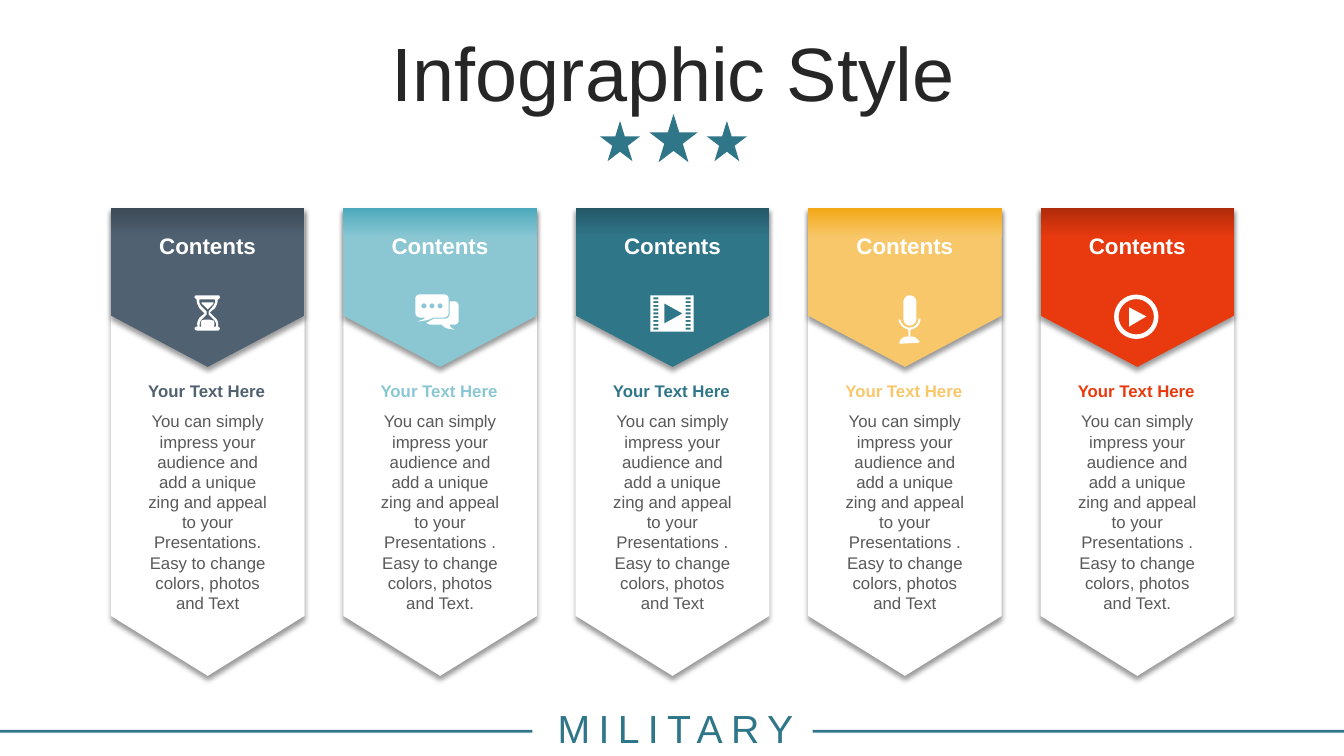
from dataclasses import dataclass

from lxml import etree
from pptx import Presentation
from pptx import util as u
from pptx.dml.color import RGBColor
from pptx.enum import shapes, text
from pptx.oxml import ns

FONT = "Arial"
COLORS = {"teal": "307689", "white": "FFFFFF", "title": "262626", "body": "595959"}
PITCH = 2.305
FIRST_CENTER = 2.06
CURVE_STEPS = 8


@dataclass(frozen=True)
class Banner:
    color: str
    edge: str
    place: str
    ending: str
    icon: str


@dataclass(frozen=True)
class Star:
    left: float
    top: float
    size: float


def circle(cx: float, cy: float, r: float) -> str:
    k = 0.5523 * r
    return (f"M {cx} {cy - r} C {cx + k} {cy - r} {cx + r} {cy - k} {cx + r} {cy} "
            f"{cx + r} {cy + k} {cx + k} {cy + r} {cx} {cy + r} "
            f"{cx - k} {cy + r} {cx - r} {cy + k} {cx - r} {cy} "
            f"{cx - r} {cy - k} {cx - k} {cy - r} {cx} {cy - r} ")


def box(x: float, y: float, w: float, h: float) -> str:
    return f"M {x} {y} L {x + w} {y} {x + w} {y + h} {x} {y + h} "


# Icon outlines use hundredths of an inch on the slide.
HOURGLASS = (
    "M 207 317 C 208 317 210 318 212 318 213 320 213 322 212 324 L 200 324 "
    "C 199 322 199 320 200 318 202 317 205 317 207 317 "
    "M 200 300 L 212 300 C 212 301 211 302 211 302 L 206 307 201 302 C 200 302 200 301 200 300 "
    "M 198 297 C 197 299 198 302 200 304 L 205 309 205 312 200 317 C 198 319 198 322 198 324 "
    "L 214 324 C 215 322 214 319 212 317 L 207 312 207 309 211 304 C 213 302 214 299 213 297 "
    "M 196 293 L 216 293 C 217 293 218 293 218 295 218 296 217 297 216 297 "
    "216 300 215 303 213 306 L 208 310 213 315 C 216 317 217 321 216 324 "
    "217 324 218 325 218 326 218 327 217 328 216 328 L 196 328 "
    "C 194 328 193 327 193 326 193 325 194 324 196 324 195 321 196 318 198 315 "
    "L 203 311 198 306 C 196 303 195 300 195 297 194 296 193 296 193 295 193 293 194 293 196 293")
CHAT = "".join(circle(x, 303.5, 2.5) for x in (420.5, 428.5, 436.5)) + (
    "M 446 299 L 451 299 C 453 299 455 301 455 304 L 455 318 C 455 320 453 322 451 322 "
    "L 446 322 C 447 324 446 325 451 327 443 326 442 326 438 322 L 427 322 "
    "C 425 322 424 321 423 320 426 319 428 317 431 316 L 442 316 C 444 316 446 314 446 311 "
    "M 417 292 L 440 292 C 443 292 445 294 445 296 L 445 310 C 445 313 443 315 440 315 "
    "L 430 315 C 424 318 422 318 414 319 419 317 420 317 422 315 L 417 315 "
    "C 414 315 412 313 412 310 L 412 296 C 412 294 414 292 417 292")
FILM = (box(645, 293, 43, 36) + "M 659 301 L 659 321 677 311 "
        + "".join(box(x, 295 + 3.75 * row, 5, 2) for x in (648, 680) for row in range(9)))
MICROPHONE = (
    "M 913 316 C 913 322 909 326 903 327 L 903 334 C 904 334 905 334 906 334 "
    "909 335 912 338 912 340 L 892 341 C 892 338 894 335 898 334 899 334 900 334 901 334 "
    "L 901 327 C 896 326 892 322 891 317 L 893 317 C 894 322 898 325 902 325 "
    "907 325 911 321 911 316 "
    "M 902 293 C 906 293 909 296 909 300 L 909 316 C 909 320 906 323 902 323 "
    "899 323 896 320 896 316 L 896 300 C 896 296 899 293 902 293")
PLAY = "M 1120 305 L 1137 314 1120 324 " + circle(1127, 314.3, 17.5) + circle(1127, 314.3, 22)

BANNERS = [
    Banner("506272", "3C4956", "Presentations.", "Text", HOURGLASS),
    Banner("8AC7D3", "4BA9BB", "Presentations .", "Text.", CHAT),
    Banner("307689", "245867", "Presentations .", "Text", FILM),
    Banner("F7C76A", "F3A816", "Presentations .", "Text", MICROPHONE),
    Banner("E93A0F", "AF2B0B", "Presentations .", "Text.", PLAY),
]
STARS = [Star(6.44, 1.13, 0.48), Star(7.01, 1.2, 0.4), Star(5.95, 1.2, 0.4)]


def rgb(color: str) -> RGBColor:
    return RGBColor.from_string(color)


def paint(sp, color: str) -> None:
    sp.fill.solid()
    sp.fill.fore_color.rgb = rgb(color)
    sp.line.fill.background()
    sp.shadow.inherit = False


def add_preset(s, kind, left: float, top: float, width: float, height: float, color: str):
    sp = s.shapes.add_shape(kind, *map(u.Inches, (left, top, width, height)))
    paint(sp, color)
    return sp


def write(sp, words: str, *, size: float, color: str, bold: bool = False,
          align=text.PP_ALIGN.CENTER, anchor=text.MSO_ANCHOR.TOP, line_spacing=None):
    tf = sp.text_frame
    tf.word_wrap = True
    tf.auto_size = text.MSO_AUTO_SIZE.NONE
    tf.vertical_anchor = anchor
    p = tf.paragraphs[0]
    p.alignment = align
    p.line_spacing = line_spacing
    r = p.add_run()
    r.text = words
    r.font.name, r.font.size, r.font.bold = FONT, u.Pt(size), bold
    r.font.color.rgb = rgb(color)
    return r


def add_label(s, words: str, center: float, top: float, width: float, height: float, **fmt) -> None:
    sp = s.shapes.add_textbox(*map(u.Inches, (center - width / 2, top, width, height)))
    write(sp, words, **fmt)


def add_plate(s, center: float, middle: float, length: float, tip: float, color: str):
    """Draw a pentagon that points down and drops a soft shadow."""
    width = 1.92
    sp = add_preset(s, shapes.MSO_SHAPE.PENTAGON, center - length / 2, middle - width / 2,
                    length, width, color)
    sp.rotation = 90
    sp.adjustments[0] = tip
    effects = sp._element.spPr.find(ns.qn("a:effectLst"))
    shadow = etree.SubElement(effects, ns.qn("a:outerShdw"), blurRad=str(u.Pt(4)),
                              dist=str(u.Pt(3)), dir="5400000", algn="t", rotWithShape="0")
    black = etree.SubElement(shadow, ns.qn("a:srgbClr"), val="000000")
    etree.SubElement(black, ns.qn("a:alpha"), val="40000")
    return sp


def shade(sp, color: str, edge: str) -> None:
    sp.fill.gradient()
    sp.fill.gradient_angle = 180
    for stop, position, value in zip(sp.fill.gradient_stops, (0.81, 1), (color, edge)):
        stop.position = position
        stop.color.rgb = rgb(value)


def contours(outline: str) -> list[list[tuple[float, float]]]:
    """Turn M, L and C commands into lists of points, with curves sampled."""
    result, command, pending = [], "", []
    for token in outline.split():
        if token.isalpha():
            command = token
            continue
        pending.append(float(token))
        if len(pending) < (6 if command == "C" else 2):
            continue
        pairs = list(zip(pending[::2], pending[1::2]))
        pending = []
        if command == "M":
            result.append(pairs)
        elif command == "L":
            result[-1] += pairs
        else:
            curve = [result[-1][-1], *pairs]
            for step in range(1, CURVE_STEPS + 1):
                t = step / CURVE_STEPS
                weights = ((1 - t) ** 3, 3 * t * (1 - t) ** 2, 3 * t * t * (1 - t), t ** 3)
                result[-1].append(tuple(sum(w * pt[axis] for w, pt in zip(weights, curve))
                                        for axis in (0, 1)))
    return result


def add_icon(s, outline: str) -> None:
    builder = None
    for points in contours(outline):
        start, *rest = [(u.Inches(x / 100), u.Inches(y / 100)) for x, y in points]
        if builder is None:
            builder = s.shapes.build_freeform(*start)
        else:
            builder.move_to(*start)
        builder.add_line_segments(rest, close=True)
    paint(builder.convert_to_shape(), COLORS["white"])


def add_banner(s, banner: Banner, center: float) -> None:
    add_plate(s, center, 4.38, 4.65, 0.31, COLORS["white"])
    shade(add_plate(s, center, 2.85, 1.58, 0.322, banner.color), banner.color, banner.edge)
    add_label(s, "Contents", center, 2.25, 1.2, 0.37, size=16, color=COLORS["white"], bold=True)
    add_label(s, "Your Text Here", center - 0.01, 3.73, 1.47, 0.3,
              size=12, color=banner.color, bold=True)
    add_label(s, "You can simply impress your audience and add a unique zing and appeal to your "
              f"{banner.place} Easy to change colors, photos and {banner.ending}",
              center, 4.03, 1.48, 2.12, size=12, color=COLORS["body"])
    add_icon(s, banner.icon)


def add_footer(s) -> None:
    rect = shapes.MSO_SHAPE.RECTANGLE
    add_preset(s, rect, 0, 7.24, 13.33, 0.03, COLORS["teal"])
    sp = add_preset(s, rect, 5.28, 7.04, 2.78, 0.42, COLORS["white"])
    tf = sp.text_frame
    tf.margin_left = u.Inches(0.25)
    tf.margin_top = tf.margin_right = tf.margin_bottom = 0
    r = write(sp, "MILITARY", size=28, color=COLORS["teal"], align=text.PP_ALIGN.LEFT,
              anchor=text.MSO_ANCHOR.MIDDLE, line_spacing=u.Pt(30))
    r.font._element.set("spc", "600")


def main() -> None:
    prs = Presentation()
    prs.slide_width, prs.slide_height = u.Inches(13.33), u.Inches(7.5)
    s = prs.slides.add_slide(prs.slide_layouts[5])
    for star in STARS:
        add_preset(s, shapes.MSO_SHAPE.STAR_5_POINT, star.left, star.top, star.size, star.size,
                   COLORS["teal"])
    add_footer(s)
    title = s.shapes.title
    title.left, title.top, title.width, title.height = map(u.Inches, (0.35, 0.37, 12.66, 0.79))
    write(title, "Infographic Style", size=54, color=COLORS["title"],
          anchor=text.MSO_ANCHOR.MIDDLE, line_spacing=0.9)
    for i, banner in enumerate(BANNERS):
        add_banner(s, banner, FIRST_CENTER + i * PITCH)
    prs.save("out.pptx")


if __name__ == "__main__":
    main()
